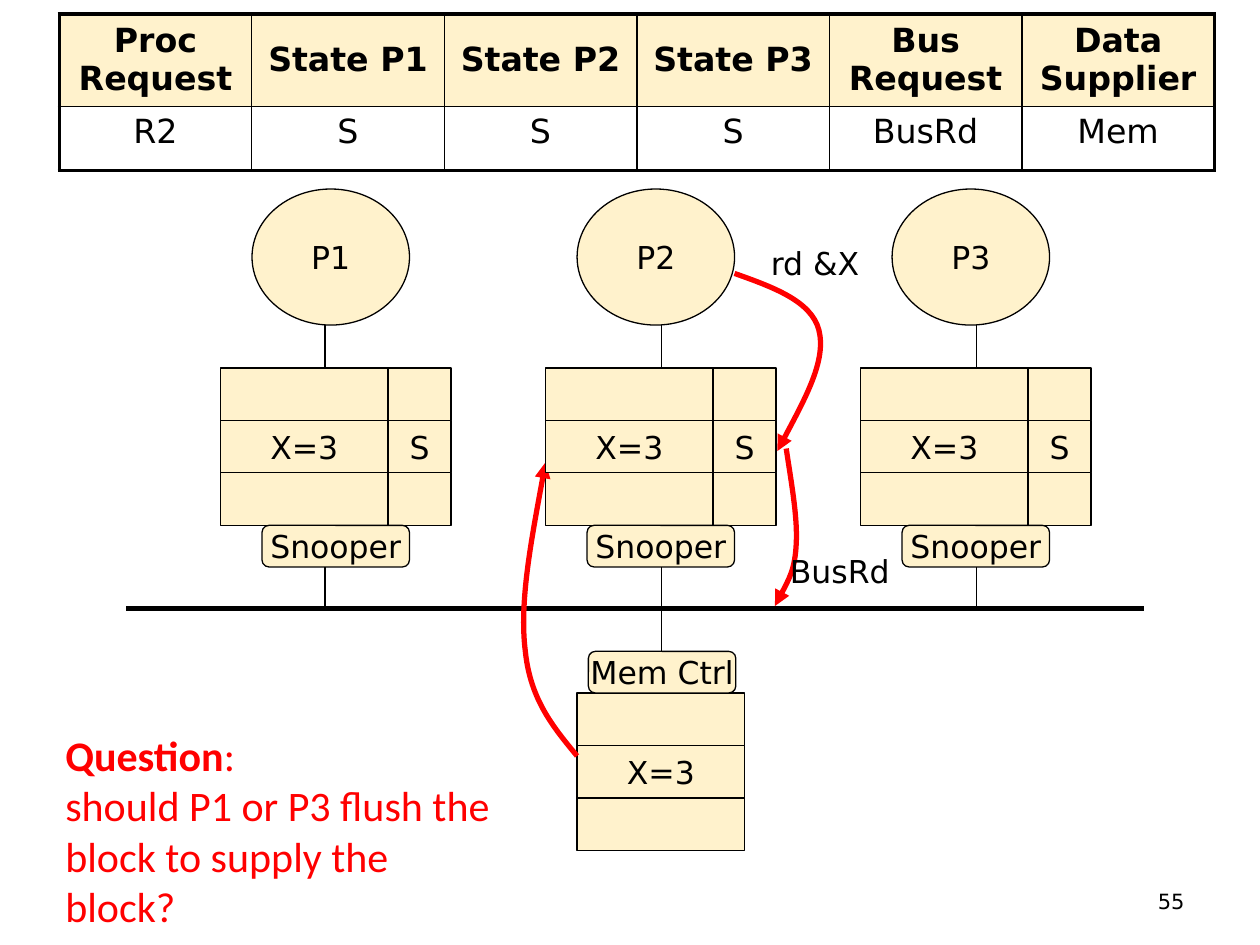
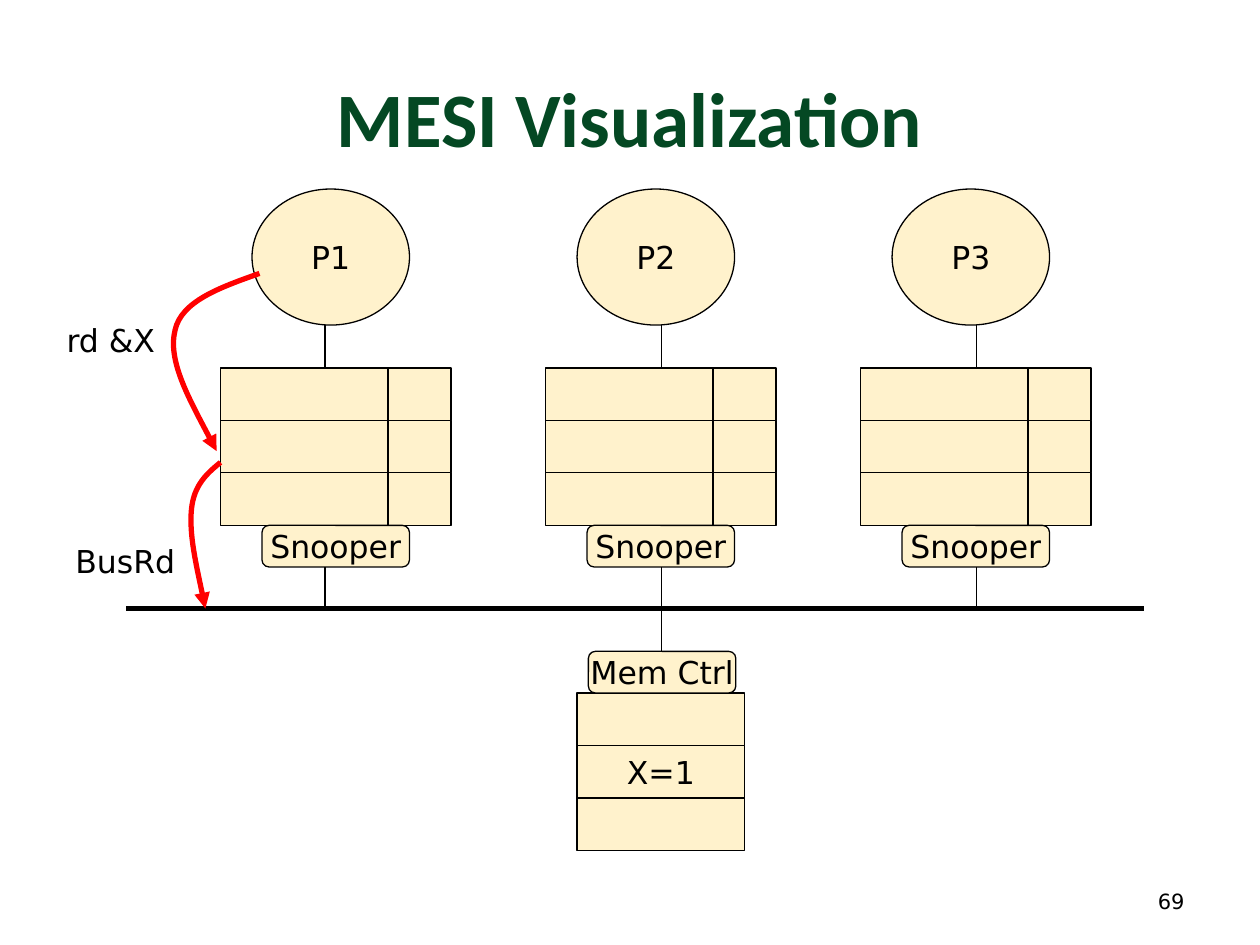
"""Build two slides that show a cache read on a snooping bus."""
from lxml import etree
from pptx import Presentation
from pptx import util as u
from pptx.dml.color import RGBColor
from pptx.enum import shapes, text
from pptx.oxml.ns import qn

COLORS = {"ink": "000000", "cream": "FFF2CC", "signal": "FF0000", "title": "044823"}
BODY_FONT, TITLE_FONT = "DejaVu Sans", "Calibri"
CENTER, MIDDLE = text.PP_ALIGN.CENTER, text.MSO_ANCHOR.MIDDLE
SHAPE = shapes.MSO_SHAPE
PROCESSORS = [("P1", 2, 2.58), ("P3", 7.08, 7.75), ("P2", 4.58, 5.25)]
CELL_WIDTH, CELL_HEIGHT = 1.33, 1.25 / 3
CACHE_TOP, MEMORY_TOP, BUS_TOP = 2.92, 5.5, 4.83

DIAGRAMS = [
    {
        "number": "55",
        "title": None,
        "cached": ("X=3", "S"),
        "memory": "X=3",
        "front": "P2",
        "labels": [("rd &X", 6.02, 1.89, 0.9), ("BusRd", 6.17, 4.33, 0.99)],
        "curves": [
            [(5.83, 2.17), (6.14, 2.28), (6.44, 2.39), (6.5, 2.62),
             (6.56, 2.86), (6.36, 3.22), (6.17, 3.58)],
            [(6.24, 3.56), (6.28, 3.83), (6.33, 4.1), (6.32, 4.31),
             (6.31, 4.52), (6.23, 4.66), (6.15, 4.81)],
            [(4.58, 6), (4.4, 5.78), (4.21, 5.56), (4.17, 5.17),
             (4.12, 4.78), (4.23, 4.22), (4.33, 3.67)],
        ],
        "table": [
            ["Proc Request", "State P1", "State P2", "State P3", "Bus Request", "Data Supplier"],
            ["R2", "S", "S", "S", "BusRd", "Mem"],
        ],
        "question": [
            [("Question", True), (":", False)],
            [("should P1 or P3 flush the block to supply the block?", False)],
        ],
    },
    {
        "number": "69",
        "title": "MESI Visualization",
        "cached": ("", ""),
        "memory": "X=1",
        "front": None,
        "labels": [("rd &X", 0.43, 2.5, 0.9), ("BusRd", 0.5, 4.25, 0.99)],
        "curves": [
            [(2.06, 2.17), (1.75, 2.28), (1.44, 2.39), (1.39, 2.62),
             (1.33, 2.86), (1.53, 3.22), (1.72, 3.58)],
            [(1.75, 3.67), (1.64, 3.76), (1.54, 3.85), (1.52, 4.04),
             (1.5, 4.24), (1.57, 4.54), (1.63, 4.83)],
        ],
        "table": [],
        "question": [],
    },
]


def write(frame, paragraphs, size=18, color="ink", font=BODY_FONT, align=None):
    """Fill a text frame with paragraphs given as lists of (words, bold)."""
    for index, runs in enumerate(paragraphs):
        paragraph = frame.add_paragraph() if index else frame.paragraphs[0]
        paragraph.alignment = align
        for words, bold in runs:
            run = paragraph.add_run()
            run.text = words
            run.font.name = font
            run.font.size = u.Pt(size)
            run.font.bold = bold
            run.font.color.rgb = RGBColor.from_string(COLORS[color])


def add_box(slide, kind, left, top, width, height, words=""):
    """Add a cream shape with a thin outline and optional centred words."""
    shape = slide.shapes.add_shape(kind, *map(u.Inches, (left, top, width, height)))
    shape.shadow.inherit = False
    shape.fill.solid()
    shape.fill.fore_color.rgb = RGBColor.from_string(COLORS["cream"])
    shape.line.color.rgb = RGBColor.from_string(COLORS["ink"])
    shape.line.width = u.Pt(0.75)
    if words:
        shape.text_frame.word_wrap = False
        shape.text_frame.vertical_anchor = MIDDLE
        write(shape.text_frame, [[(words, False)]], align=CENTER)
    return shape


presentation = Presentation()
presentation.slide_width, presentation.slide_height = u.Inches(10), u.Inches(7.5)

for diagram in DIAGRAMS:
    layout = presentation.slide_layouts[5 if diagram["title"] else 6]
    slide = presentation.slides.add_slide(layout)

    if diagram["title"]:
        title = slide.shapes.title
        title.left, title.top = u.Inches(0.5), u.Inches(0.3)
        title.width, title.height = u.Inches(9), u.Inches(1.25)
        title.text_frame.vertical_anchor = MIDDLE
        write(title.text_frame, [[(diagram["title"], True)]], 44, "title", TITLE_FONT, CENTER)

    number = slide.shapes.add_textbox(*map(u.Inches, (7.17, 6.95, 2.33, 0.4)))
    number.text_frame.word_wrap = True
    number.text_frame.vertical_anchor = MIDDLE
    write(number.text_frame, [[(diagram["number"], False)]], 12, align=text.PP_ALIGN.RIGHT)

    lines = [(1, BUS_TOP, 9.08, BUS_TOP, 3.25), (5.25, BUS_TOP, 5.25, 5.17, 0.75)]
    front_cells = []
    for name, left, stem in PROCESSORS:
        add_box(slide, SHAPE.OVAL, left, 1.5, 1.25, 1.08, name)
        for row in range(3):
            value, state = diagram["cached"] if row == 1 else ("", "")
            top = CACHE_TOP + row * CELL_HEIGHT
            cells = [
                add_box(slide, SHAPE.RECTANGLE, left - 0.25, top, CELL_WIDTH, CELL_HEIGHT, value),
                add_box(slide, SHAPE.RECTANGLE, left + 1.08, top, 0.5, CELL_HEIGHT, state),
            ]
            if row == 1 and name == diagram["front"]:
                front_cells = cells
        add_box(slide, SHAPE.ROUNDED_RECTANGLE, left + 0.08, 4.17, 1.17, 0.33, "Snooper")
        lines += [(stem, 2.58, stem, CACHE_TOP, 0.75), (stem, 4.5, stem, BUS_TOP, 0.75)]

    for row, words in enumerate(["", diagram["memory"], ""]):
        top = MEMORY_TOP + row * CELL_HEIGHT
        add_box(slide, SHAPE.RECTANGLE, 4.58, top, CELL_WIDTH, CELL_HEIGHT, words)
    add_box(slide, SHAPE.ROUNDED_RECTANGLE, 4.67, 5.17, 1.17, 0.33, "Mem Ctrl")

    for *ends, weight in lines:
        line = slide.shapes.add_connector(shapes.MSO_CONNECTOR.STRAIGHT, *map(u.Inches, ends))
        line.line.color.rgb = RGBColor.from_string(COLORS["ink"])
        line.line.width = u.Pt(weight)
        etree.SubElement(line._element.spPr, qn("a:effectLst"))

    for curve_points in diagram["curves"]:
        points = [(u.Inches(x), u.Inches(y)) for x, y in curve_points]
        builder = slide.shapes.build_freeform(*points[0])
        builder.add_line_segments(points[1:], close=False)
        curve = builder.convert_to_shape()
        curve.shadow.inherit = False
        curve.fill.background()
        curve.line.color.rgb = RGBColor.from_string(COLORS["signal"])
        curve.line.width = u.Pt(3)
        etree.SubElement(curve.line._get_or_add_ln(), qn("a:tailEnd"), type="triangle")
        segments = list(curve._element.iter(qn("a:lnTo")))
        for start in range(0, len(segments), 3):
            bezier = etree.Element(qn("a:cubicBezTo"))
            segments[start].addprevious(bezier)
            for segment in segments[start:start + 3]:
                bezier.append(segment[0])
                segment.getparent().remove(segment)

    for cell in front_cells:
        slide.shapes._spTree.append(cell._element)

    for words, left, top, width in diagram["labels"]:
        label = slide.shapes.add_textbox(*map(u.Inches, (left, top, width, 0.4)))
        label.text_frame.word_wrap = False
        label.text_frame.auto_size = text.MSO_AUTO_SIZE.SHAPE_TO_FIT_TEXT
        write(label.text_frame, [[(words, False)]])

    if diagram["table"]:
        rows, columns = len(diagram["table"]), len(diagram["table"][0])
        frame = slide.shapes.add_table(rows, columns, *map(u.Inches, (0.47, 0.11, 9.17, 1.24)))
        table = frame.table
        table.first_row = table.horz_banding = False
        table.rows[0].height, table.rows[1].height = u.Inches(0.73), u.Inches(0.51)
        for row, entries in enumerate(diagram["table"]):
            for column, words in enumerate(entries):
                cell = table.cell(row, column)
                header = row == 0
                if header:
                    cell.fill.solid()
                    cell.fill.fore_color.rgb = RGBColor.from_string(COLORS["cream"])
                    cell.vertical_anchor = MIDDLE
                else:
                    cell.fill.background()
                write(cell.text_frame, [[(words, header)]], 19, align=CENTER)
                outer = {"L": column == 0, "R": column == columns - 1,
                         "T": row == 0, "B": row == rows - 1}
                for position, (side, is_outer) in enumerate(outer.items()):
                    weight = u.Pt(2.25 if is_outer else 1)
                    border = etree.Element(qn("a:ln" + side), w=str(weight))
                    fill = etree.SubElement(border, qn("a:solidFill"))
                    etree.SubElement(fill, qn("a:srgbClr"), val=COLORS["ink"])
                    cell._tc.get_or_add_tcPr().insert(position, border)

    if diagram["question"]:
        question = slide.shapes.add_textbox(*map(u.Inches, (0.42, 5.74, 3.7, 1.31)))
        question.text_frame.word_wrap = True
        question.text_frame.auto_size = text.MSO_AUTO_SIZE.SHAPE_TO_FIT_TEXT
        write(question.text_frame, diagram["question"], 24, "signal", TITLE_FONT)

presentation.save("out.pptx")
